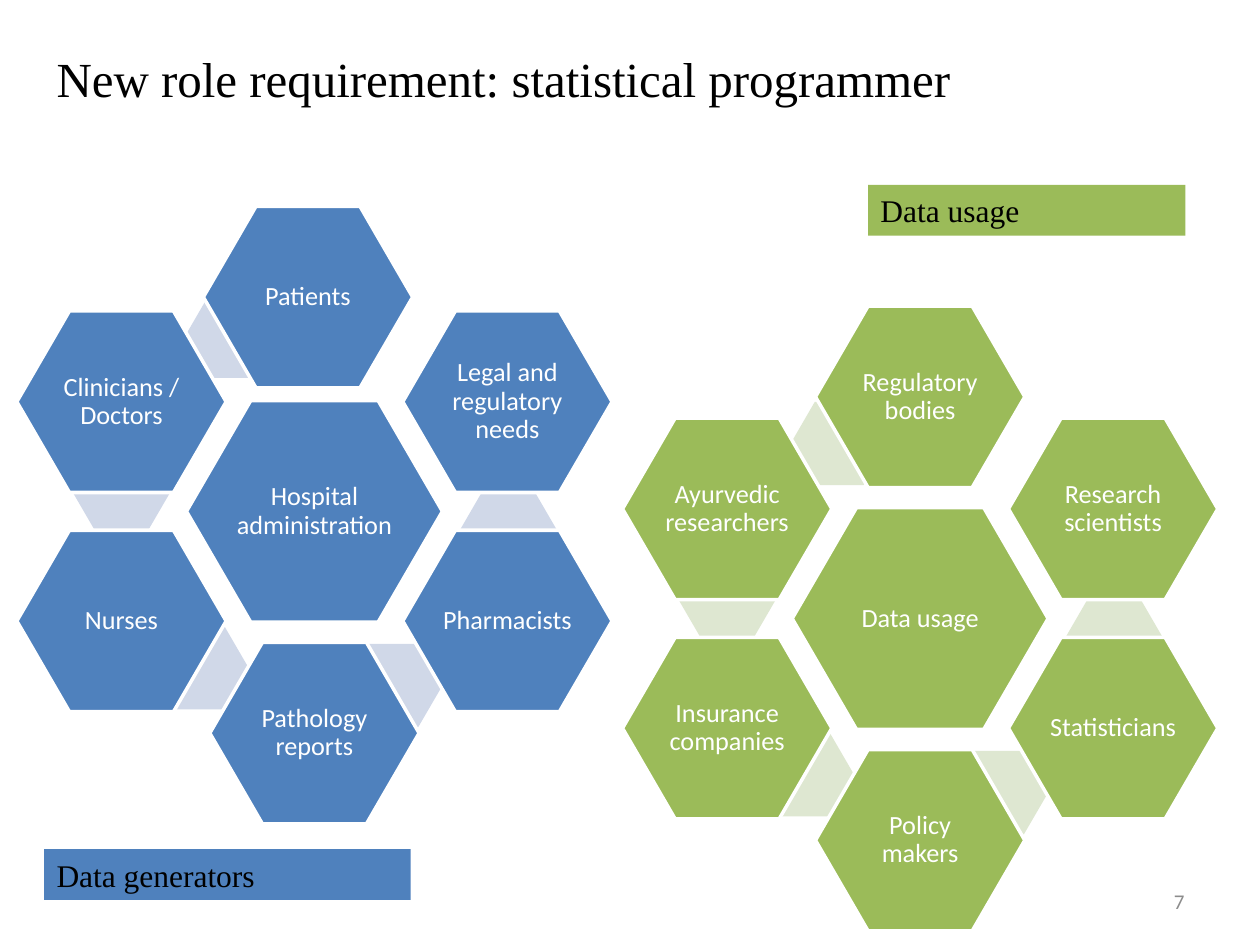
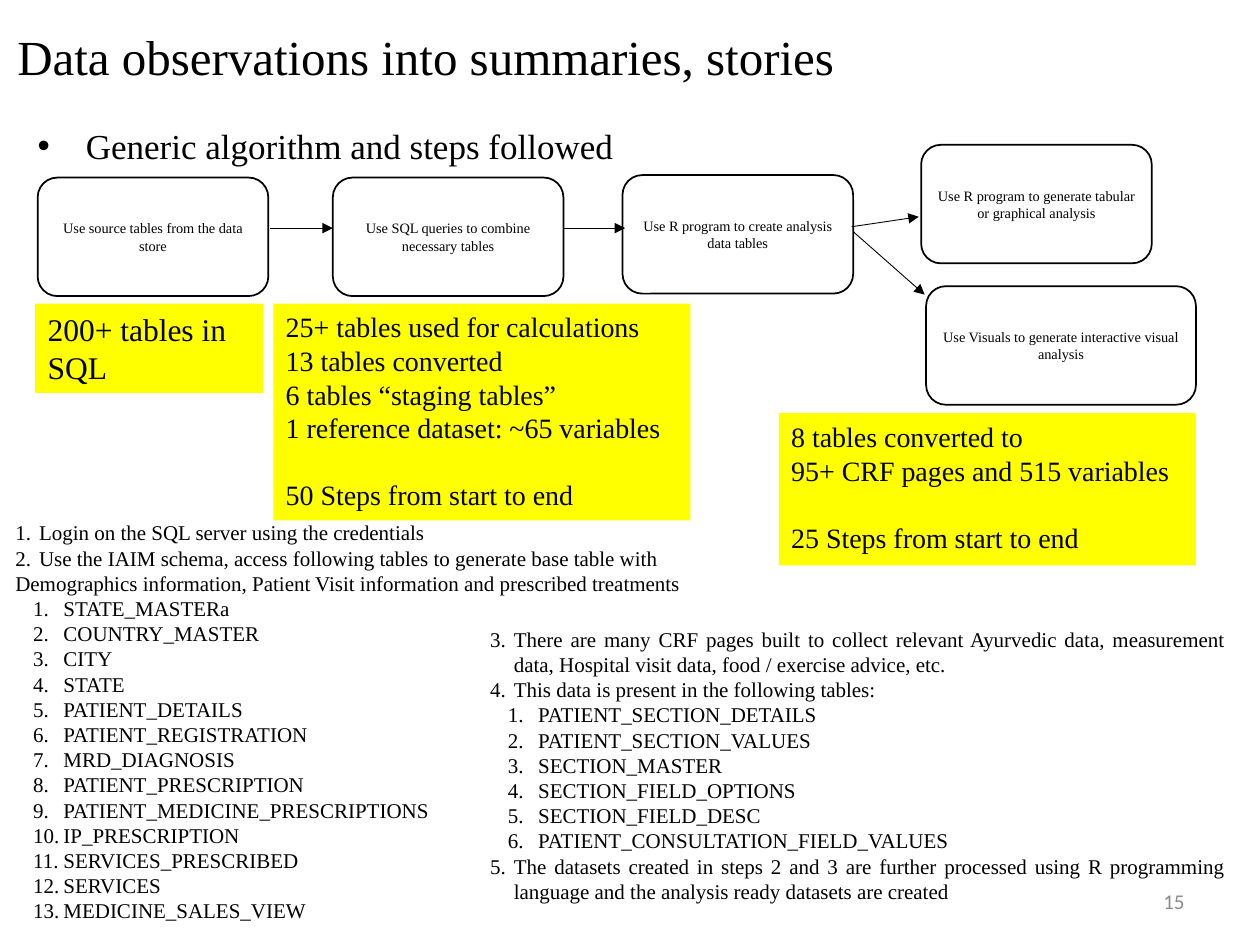
from lxml import etree
from pptx import Presentation
from pptx import util as u
from pptx.dml.color import RGBColor
from pptx.enum import shapes, text
from pptx.oxml import ns

BLACK = RGBColor(0x00, 0x00, 0x00)
WHITE = RGBColor(0xFF, 0xFF, 0xFF)
GREY = RGBColor(0x8C, 0x8C, 0x8C)
YELLOW = RGBColor(0xFF, 0xFF, 0x00)
BLUE = RGBColor(0x4F, 0x81, 0xBD)
PALE_BLUE = RGBColor(0xD0, 0xD8, 0xE8)
GREEN = RGBColor(0x9B, 0xBB, 0x59)
PALE_GREEN = RGBColor(0xDE, 0xE7, 0xD1)
SERIF, SANS = "Times New Roman", "Calibri"
LEFT, CENTER = text.PP_ALIGN.LEFT, text.PP_ALIGN.CENTER
RIGHT, JUSTIFY = text.PP_ALIGN.RIGHT, text.PP_ALIGN.JUSTIFY
TOP, MIDDLE = text.MSO_ANCHOR.TOP, text.MSO_ANCHOR.MIDDLE
PRESET = shapes.MSO_SHAPE
LIST_INDENTS = [(0.48, -0.48), (0.97, -0.61)]


def add_box(slide, box, preset=None, fill=None, line=None, line_width=1):
    """Add a preset shape, or a text box when no preset is given; box is in cm."""
    area = [u.Cm(length) for length in box]
    if preset is None:
        return slide.shapes.add_textbox(*area)
    shape = slide.shapes.add_shape(preset, *area)
    shape.shadow.inherit = False
    shape.fill.solid()
    shape.fill.fore_color.rgb = fill
    if line is None:
        shape.line.fill.background()
    else:
        shape.line.color.rgb = line
        shape.line.width = u.Pt(line_width)
    return shape


def write(shape, items, size, font=SERIF, color=BLACK, align=LEFT, anchor=TOP,
          margins=(0.25, 0.13)):
    """Fill a shape with paragraphs: plain strings or (text, marker, level)."""
    frame = shape.text_frame
    frame.word_wrap = True
    frame.vertical_anchor = anchor
    frame.margin_left = frame.margin_right = u.Cm(margins[0])
    frame.margin_top = frame.margin_bottom = u.Cm(margins[1])
    for index, item in enumerate(items):
        paragraph = frame.paragraphs[0] if index == 0 else frame.add_paragraph()
        wording, marker, level = (item, None, 0) if isinstance(item, str) else item
        paragraph.text = wording
        paragraph.alignment = align
        if marker is not None:
            paragraph.level = level
            properties = paragraph._p.get_or_add_pPr()
            left, hanging = LIST_INDENTS[level]
            if marker == "•":
                left, hanging = 0.97, -0.97
                etree.SubElement(properties, ns.qn("a:buFont"), typeface="Arial")
                etree.SubElement(properties, ns.qn("a:buChar"), char=marker)
            else:
                numbering = etree.SubElement(properties, ns.qn("a:buAutoNum"),
                                             type="arabicPeriod")
                if marker > 1:
                    numbering.set("startAt", str(marker))
            properties.set("marL", str(u.Cm(left)))
            properties.set("indent", str(u.Cm(hanging)))
        paragraph.font.size = u.Pt(size)
        paragraph.font.name = font
        paragraph.font.color.rgb = color
    return frame


deck = Presentation()
deck.slide_width, deck.slide_height = u.Cm(25.4), u.Cm(19.05)

# Titles and page numbers
headings = [
    ("New role requirement: statistical programmer", (0.89, 0.81, 22.86, 1.52), "7"),
    ("Data observations into summaries, stories", (0.1, 0.13, 21.89, 2.01), "15"),
]
for heading, box, page in headings:
    slide = deck.slides.add_slide(deck.slide_layouts[5])
    title = slide.shapes.title
    title.left, title.top, title.width, title.height = [u.Cm(n) for n in box]
    write(title, [heading], 28, anchor=MIDDLE)
    write(add_box(slide, (18.21, 17.65, 5.92, 1.02)), [page], 12, SANS, GREY,
          RIGHT, MIDDLE)
roles, process = deck.slides

# Hexagon clusters: a core with six roles around it, joined by pale hinges
CORE_SIZE, ROLE_SIZE, HINGE_SIZE = (5.16, 4.47), (4.22, 3.66), (1.96, 1.68)
SIDE, HALF_ROW, ROW = 3.89, 2.21, 4.47
role_offsets = [(0, -ROW), (-SIDE, -HALF_ROW), (-SIDE, HALF_ROW), (0, ROW),
                (SIDE, HALF_ROW), (SIDE, -HALF_ROW)]
hinge_offsets = [(-1.63, -3.53), (-3.89, -0.38), (-2.31, 3.15), (1.6, 3.51),
                 (3.91, 0.38)]
clusters = [
    ((6.34, 10.31), BLUE, PALE_BLUE, "Hospital administration",
     ["Patients", "Clinicians / Doctors", "Nurses", "Pathology reports",
      "Pharmacists", "Legal and regulatory needs"], (-0.13, -4.32)),
    ((18.55, 12.47), GREEN, PALE_GREEN, "Data usage",
     ["Regulatory bodies", "Ayurvedic researchers", "Insurance companies",
      "Policy makers", "Statisticians", "Research scientists"], (0, -ROW)),
]
for (center_x, center_y), strong, pale, core, names, top_offset in clusters:
    hexagons = [(core, (0, 0), CORE_SIZE)]
    offsets = [top_offset] + role_offsets[1:]
    for index, name in enumerate(names):
        if index < len(hinge_offsets):
            hexagons.append((None, hinge_offsets[index], HINGE_SIZE))
        hexagons.append((name, offsets[index], ROLE_SIZE))
    for name, (dx, dy), (width, height) in hexagons:
        box = (center_x + dx - width / 2, center_y + dy - height / 2, width, height)
        if name is None:
            hinge = add_box(roles, box, PRESET.HEXAGON, pale)
            hinge.adjustments[0] = 0.29
            continue
        hexagon = add_box(roles, box, PRESET.HEXAGON, strong, WHITE, 2)
        hexagon.adjustments[0] = 0.29
        label = write(hexagon, [name], 15, SANS, WHITE, CENTER, MIDDLE, (0.05, 0.05))
        label.paragraphs[0].line_spacing = 0.9

for name, box, fill in [("Data generators", (0.89, 17.12, 7.39, 1.02), BLUE),
                        ("Data usage", (17.5, 3.73, 6.4, 1.02), GREEN)]:
    write(add_box(roles, box, PRESET.RECTANGLE, fill), [name], 18)

# Process flow
write(add_box(process, (0.51, 2.39, 13.77, 0.99)),
      [("Generic algorithm and steps followed", "•", 0)], 20)

steps = [
    ("Use source tables from the data store", 0.76, 3.58, 4.65),
    ("Use SQL queries to combine necessary tables", 6.71, 3.58, 4.65),
    ("Use R program to create analysis data tables", 12.55, 3.53, 4.65),
    ("Use R program to generate tabular or graphical analysis", 18.57, 2.92, 4.65),
    ("Use Visuals to generate interactive visual analysis", 18.67, 5.77, 5.44),
]
for step, left, top, width in steps:
    card = add_box(process, (left, top, width, 2.39), PRESET.ROUNDED_RECTANGLE,
                   WHITE, BLACK)
    label = write(card, [step], 8.2, align=CENTER, anchor=MIDDLE, margins=(0.18, 0.1))
    label.paragraphs[0].space_after = u.Pt(7.5)

arrows = [(5.44, 4.6, 6.71, 4.6), (11.35, 4.6, 12.6, 4.6),
          (17.17, 4.57, 18.52, 4.37), (17.2, 4.67, 18.64, 5.94)]
for ends in arrows:
    arrow = process.shapes.add_connector(shapes.MSO_CONNECTOR.STRAIGHT,
                                         *[u.Cm(n) for n in ends])
    arrow.line.color.rgb = BLACK
    arrow.line.width = u.Pt(0.5)
    etree.SubElement(arrow.line._get_or_add_ln(), ns.qn("a:tailEnd"), type="triangle")
    etree.SubElement(arrow._element.spPr, ns.qn("a:effectLst"))

# Numbered instructions
base_tables = [
    "STATE_MASTERa", "COUNTRY_MASTER", "CITY", "STATE", "PATIENT_DETAILS",
    "PATIENT_REGISTRATION", "MRD_DIAGNOSIS", "PATIENT_PRESCRIPTION",
    "PATIENT_MEDICINE_PRESCRIPTIONS", "IP_PRESCRIPTION", "SERVICES_PRESCRIBED",
    "SERVICES", "MEDICINE_SALES_VIEW",
]
section_tables = [
    "PATIENT_SECTION_DETAILS", "PATIENT_SECTION_VALUES", "SECTION_MASTER",
    "SECTION_FIELD_OPTIONS", "SECTION_FIELD_DESC",
    "PATIENT_CONSULTATION_FIELD_VALUES",
]
instructions = [
    ((0.13, 10.34, 13.97, 8.41), [
        ("Login on the SQL server using the credentials", 1, 0),
        ("Use the IAIM schema, access following tables to generate base table with",
         2, 0),
        "Demographics information, Patient Visit information and prescribed treatments",
        *[(table, 1, 1) for table in base_tables],
    ]),
    ((9.7, 12.5, 15.19, 5.84), [
        ("There are many CRF pages built to collect relevant Ayurvedic data, "
         "measurement data, Hospital visit data, food / exercise advice, etc.", 3, 0),
        ("This data is present in the following tables:", 4, 0),
        *[(table, 1, 1) for table in section_tables],
        ("The datasets created in steps 2 and 3 are further processed using R "
         "programming language and the analysis ready datasets are created", 5, 0),
    ]),
]
for box, items in instructions:
    write(add_box(process, box), items, 12, align=JUSTIFY, anchor=MIDDLE,
          margins=(0.18, 0.1))

# Yellow volume notes; the closing step count stands one line apart
write(add_box(process, (0.71, 6.12, 4.6, 1.8), PRESET.RECTANGLE, YELLOW),
      ["200+ tables in SQL"], 18)
step_counts = [
    ((5.51, 6.12, 8.41, 4.37),
     ["25+ tables used for calculations", "13 tables converted",
      "6 tables “staging tables”", "1 reference dataset: ~65 variables",
      "50 Steps from start to end"]),
    ((15.7, 8.33, 8.41, 3.07),
     ["8 tables converted to", "95+ CRF pages and 515 variables",
      "25 Steps from start to end"]),
]
for box, items in step_counts:
    note = write(add_box(process, box, PRESET.RECTANGLE, YELLOW), items, 16)
    note.paragraphs[-1].space_before = u.Pt(19)

deck.save("out.pptx")
